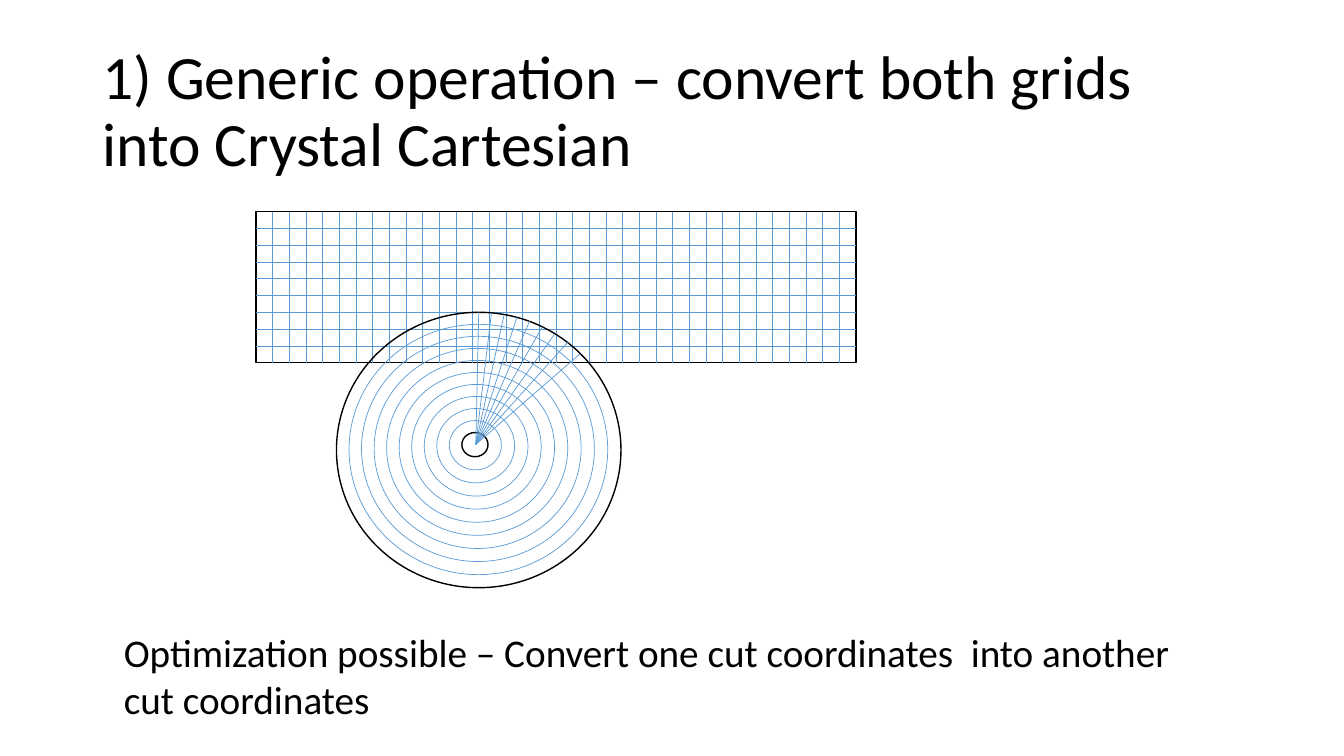
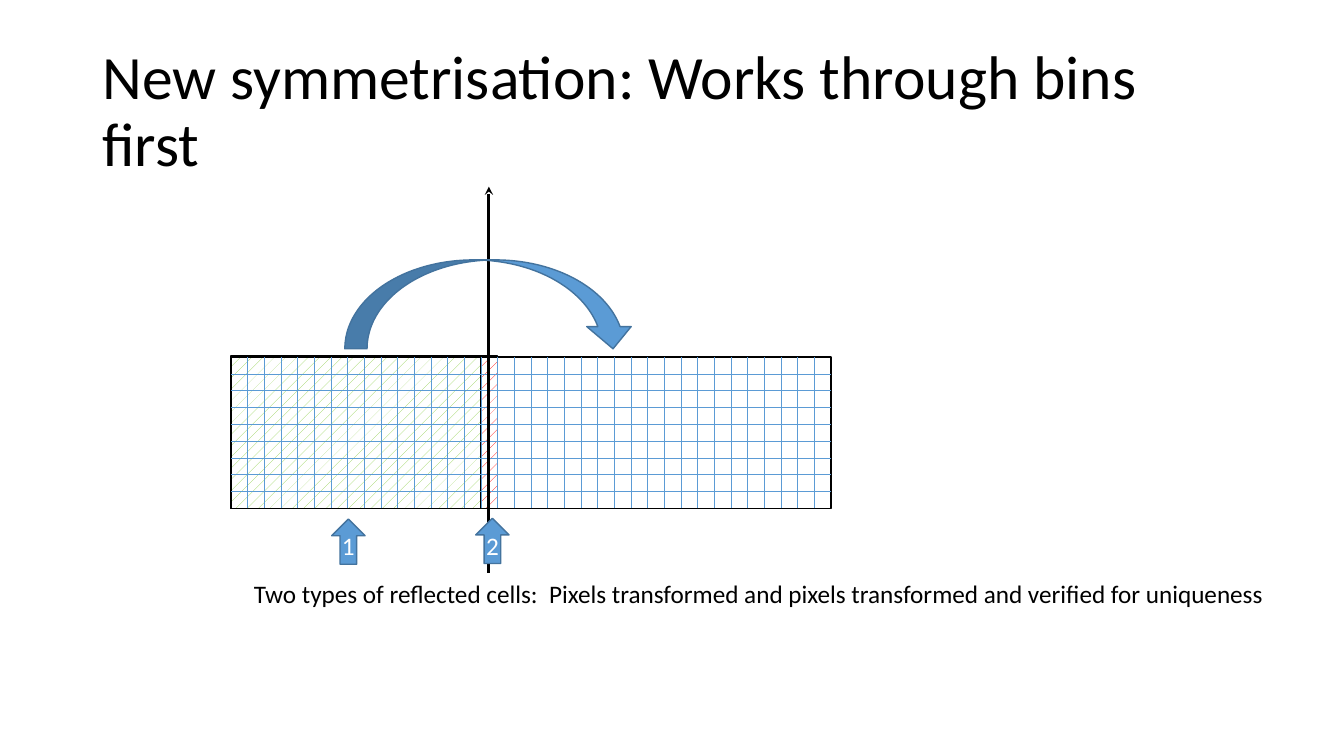
import math

from lxml import etree
from pptx import Presentation
from pptx import util as u
from pptx.dml import color
from pptx.enum import dml, shapes, text
from pptx.oxml import ns

COLOURS = {
    "ink": "000000",
    "paper": "FFFFFF",
    "blue": "5B9BD5",
    "dark blue": "43739E",
    "green": "92D050",
    "red": "FF0000",
}
RGB = {name: color.RGBColor.from_string(value) for name, value in COLOURS.items()}
FONT = "Calibri"
SHAPE = shapes.MSO_SHAPE

# All lengths are in centimetres.
COLUMNS, ROWS = 36, 9
CELL_WIDTH = 0.42
GRID_WIDTH, GRID_HEIGHT = COLUMNS * CELL_WIDTH, 3.81
TITLE_BOX = (2.33, 1.01, 29.21, 3.68)


def draw_line(parent, start, end, colour, width):
    line = parent.shapes.add_connector(
        shapes.MSO_CONNECTOR.STRAIGHT, *(u.Cm(value) for value in start + end))
    line.line.color.rgb = RGB[colour]
    line.line.width = u.Pt(width)
    etree.SubElement(line.element.spPr, ns.qn("a:effectLst"))
    return line


def draw_shape(parent, kind, bounds, outline, width=1, fill=None):
    shape = parent.shapes.add_shape(kind, *(u.Cm(value) for value in bounds))
    shape.shadow.inherit = False
    shape.line.color.rgb = RGB[outline]
    shape.line.width = u.Pt(width)
    if fill:
        shape.fill.solid()
        shape.fill.fore_color.rgb = RGB[fill]
    else:
        shape.fill.background()
    return shape


deck = Presentation()
deck.slide_width, deck.slide_height = u.Cm(33.87), u.Cm(19.05)

# title, caption, caption bounds, caption size, caption wraps, grid corner,
# hatched column ranges (first column, number of columns, colour)
PAGES = [
    ("1) Generic operation – convert both grids into Crystal Cartesian",
     "Optimization possible – Convert one cut coordinates  into another cut coordinates",
     (2.87, 15.7, 27.3, 2.64), 28, True, (6.45, 5.33), []),
    ("New symmetrisation: Works through bins first",
     "Two types of reflected cells:  Pixels transformed and pixels transformed "
     "and verified for uniqueness",
     (6.15, 14.45, 26.26, 1.02), 18, False, (5.82, 9), [(15, 1, "red"), (0, 15, "green")]),
]

pages = []
for title, caption, caption_bounds, caption_size, wraps, (left, top), hatches in PAGES:
    page = deck.slides.add_slide(deck.slide_layouts[6])
    pages.append(page)

    for first, count, colour in hatches:
        bounds = (left + first * CELL_WIDTH, top - 0.03, count * CELL_WIDTH, GRID_HEIGHT + 0.03)
        hatch = draw_shape(page, SHAPE.RECTANGLE, bounds, "ink")
        hatch.fill.patterned()
        hatch.fill.pattern = dml.MSO_PATTERN.PERCENT_10
        hatch.fill.fore_color.rgb = RGB[colour]
        hatch.fill.back_color.rgb = RGB["paper"]

    grid = page.shapes.add_group_shape()
    right, bottom = left + GRID_WIDTH, top + GRID_HEIGHT
    draw_shape(grid, SHAPE.RECTANGLE, (left, top, GRID_WIDTH, GRID_HEIGHT), "ink")
    for row in range(1, ROWS):
        y = top + row * GRID_HEIGHT / ROWS
        draw_line(grid, (left, y), (right, y), "blue", 0.5)
    for column in range(1, COLUMNS):
        x = left + column * CELL_WIDTH
        draw_line(grid, (x, bottom), (x, top), "blue", 0.5)

    for words, bounds, size, wrap in (
            (title, TITLE_BOX, 44, True), (caption, caption_bounds, caption_size, wraps)):
        box = page.shapes.add_textbox(*(u.Cm(value) for value in bounds))
        frame = box.text_frame
        frame.text = words
        frame.word_wrap = wrap
        para = frame.paragraphs[0]
        para.font.name, para.font.size = FONT, u.Pt(size)
        para.font.color.rgb = RGB["ink"]
        if words == title:
            frame.vertical_anchor = text.MSO_ANCHOR.MIDDLE
            para.line_spacing = 0.9
        else:
            frame.auto_size = text.MSO_AUTO_SIZE.SHAPE_TO_FIT_TEXT

cartesian_page, symmetry_page = pages

# Polar grid: rings grow evenly from the inner to the outer ellipse.
INNER = (11.64, 10.9, 0.66, 0.61)
OUTER = (8.48, 7.87, 7.17, 6.94)
HUB = (11.99, 11.2)
STEPS = 10
polar = cartesian_page.shapes.add_group_shape()
for step in range(STEPS + 1):
    ring = [a + (b - a) * step / STEPS for a, b in zip(INNER, OUTER)]
    at_edge = step in (0, STEPS)
    draw_shape(polar, SHAPE.OVAL, ring, "ink" if at_edge else "blue", 1 if at_edge else 0.5)

radius_x, radius_y = OUTER[2] / 2, OUTER[3] / 2
for spoke in range(9):
    offset = 0.32 * spoke
    rise = radius_y * math.sqrt(1 - (offset / radius_x) ** 2)
    tip = (OUTER[0] + radius_x + offset, OUTER[1] + radius_y - rise)
    draw_line(polar, tip, HUB, "blue", 0.5)

# Mirror axis, ending above the caption, reflection arrow and cell markers.
axis = draw_line(symmetry_page, (12.32, 4.7), (12.32, 14.45), "ink", 2)
etree.SubElement(axis.get_or_add_ln(), ns.qn("a:headEnd"), type="stealth")
draw_shape(symmetry_page, SHAPE.CURVED_DOWN_ARROW, (8.69, 6.55, 7.32, 2.24),
           "dark blue", fill="blue")
for label, left, top in (("1", 8.36, 13.08), ("2", 11.99, 13.06)):
    marker = draw_shape(symmetry_page, SHAPE.UP_ARROW, (left, top, 0.84, 1.14),
                        "dark blue", fill="blue")
    frame = marker.text_frame
    frame.text = label
    frame.margin_left = frame.margin_right = frame.margin_top = frame.margin_bottom = 0
    frame.vertical_anchor = text.MSO_ANCHOR.MIDDLE
    para = frame.paragraphs[0]
    para.alignment = text.PP_ALIGN.CENTER
    para.font.name, para.font.size = FONT, u.Pt(18)
    para.font.color.rgb = RGB["paper"]

deck.save("out.pptx")
